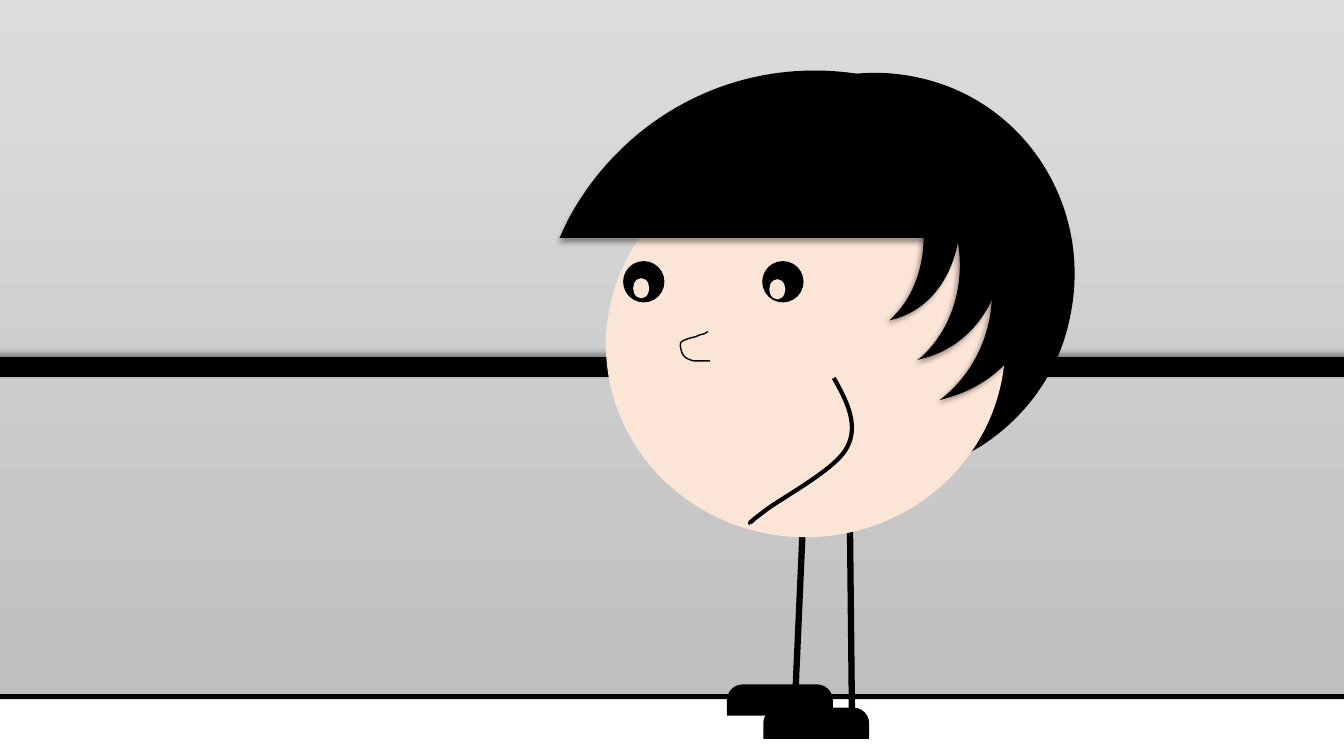
from dataclasses import dataclass
from math import cos, radians, sin

from lxml.etree import SubElement
from pptx import Presentation
from pptx.dml.color import RGBColor
from pptx.enum.shapes import MSO_CONNECTOR as CONN, MSO_SHAPE as SHAPE
from pptx.oxml import parse_xml
from pptx.oxml.ns import nsdecls, qn
from pptx.util import Inches, Pt

COLS, ROWS = 13.33, 7.5


@dataclass(frozen=True)
class Theme:
    ink: str = "000000"
    skin: str = "FBE5D6"
    floor: str = "FFFFFF"
    wall: tuple = ((0, "F6F8FC"), (51, "D9D9D9"), (100, "BFBFBF"))
    hairline: float = 1
    jaw: float = 3
    leg: float = 4.5
    skirting: float = 6
    rail: float = 14


@dataclass(frozen=True)
class Box:
    left: int
    top: int
    width: int
    height: int

    def point(self, col, row):
        return (round(self.left + self.width * col / COLS),
                round(self.top + self.height * row / ROWS))

    def area(self, col, row, cols, rows):
        x, y = self.point(col, row)
        right, bottom = self.point(col + cols, row + rows)
        return x, y, right - x, bottom - y


@dataclass(frozen=True)
class Outline:
    """A frame, its turn, and a start point followed by lines (2 numbers)
    and Bezier curves (6 numbers)."""
    frame: tuple
    pieces: list
    turn: float = 0


THEME = Theme()

BACK_HAIR = Outline((6.75, 0.73, 3.96, 3.53), [
    (9.11, 0.77), (8.04, 0.53, 6.98, 1.22, 6.74, 2.31),
    (6.73, 2.38, 6.72, 2.45, 6.71, 2.51), (6.71, 2.53), (6.75, 2.5),
    (7.15, 2.3, 7.61, 2.22, 8.08, 2.32), (9.01, 2.53, 9.65, 3.37, 9.63, 4.31),
    (9.62, 4.49), (9.74, 4.42), (10.17, 4.14, 10.5, 3.7, 10.61, 3.16),
    (10.85, 2.07, 10.18, 1, 9.11, 0.77)], 12.3)
FRINGE = Outline((5.55, 0.7, 5.06, 1.66), [
    (8.08, 0.7), (9.14, 0.7, 10.06, 1.3, 10.53, 2.19), (10.61, 2.36),
    (5.55, 2.36), (5.63, 2.19), (6.1, 1.3, 7.02, 0.7, 8.08, 0.7)])
LOCKS = [
    Outline((8.56, 1.19, 1.77, 2.69), [
        (8.66, 1.36), (8.53, 1.4, 8.41, 1.46, 8.3, 1.53), (8.24, 1.57),
        (8.28, 1.56), (8.93, 1.44, 9.59, 1.85, 9.78, 2.52),
        (9.94, 3.05, 9.76, 3.6, 9.37, 3.93), (9.32, 3.97), (9.42, 3.94),
        (10.11, 3.74, 10.5, 3, 10.29, 2.28),
        (10.08, 1.57, 9.35, 1.16, 8.66, 1.36)], 343.6),
    Outline((8.41, 0.95, 1.51, 2.55), [
        (8.46, 1.11), (8.35, 1.14, 8.25, 1.19, 8.16, 1.26), (8.11, 1.3),
        (8.14, 1.29), (8.7, 1.19, 9.28, 1.59, 9.46, 2.22),
        (9.61, 2.73, 9.47, 3.24, 9.14, 3.54), (9.1, 3.57), (9.18, 3.55),
        (9.78, 3.38, 10.1, 2.69, 9.9, 2.01),
        (9.7, 1.34, 9.06, 0.93, 8.46, 1.11)], 343.6),
    Outline((8.21, 0.74, 1.28, 2.39), [
        (8.21, 0.87), (8.12, 0.9, 8.03, 0.95, 7.96, 1), (7.92, 1.04),
        (7.94, 1.03), (8.42, 0.96, 8.92, 1.34, 9.1, 1.93),
        (9.24, 2.41, 9.13, 2.88, 8.85, 3.15), (8.82, 3.18), (8.89, 3.16),
        (9.39, 3.01, 9.65, 2.38, 9.46, 1.75),
        (9.28, 1.12, 8.72, 0.72, 8.21, 0.87)], 343.6),
]
JAW = Outline((7.44, 3.75, 1.02, 1.44), [
    (8.27, 3.75), (8.4, 3.98, 8.52, 4.22, 8.4, 4.44),
    (8.29, 4.66, 7.73, 4.95, 7.57, 5.08), (7.41, 5.2, 7.44, 5.19, 7.44, 5.19),
    (7.44, 5.19)])
NOSE = Outline((6.75, 3.29, 0.29, 0.3), [
    (7.02, 3.29), (7.01, 3.29, 7.01, 3.3, 6.99, 3.31),
    (6.96, 3.32, 6.93, 3.32, 6.9, 3.34), (6.86, 3.35, 6.77, 3.37, 6.75, 3.4),
    (6.74, 3.44, 6.76, 3.5, 6.78, 3.53), (6.81, 3.56, 6.84, 3.57, 6.88, 3.58),
    (6.92, 3.58, 6.99, 3.58, 7.04, 3.58)])


def rgb(color):
    return RGBColor.from_string(color)


def style(s, fill=None, width=None):
    s.shadow.inherit = False
    if fill:
        s.fill.solid()
        s.fill.fore_color.rgb = rgb(fill)
    else:
        s.fill.background()
    if width:
        s.line.color.rgb = rgb(THEME.ink)
        s.line.width = Pt(width)
    else:
        s.line.fill.background()
    return s


def add_part(slide, kind, area, fill, width=None):
    return style(slide.shapes.add_shape(kind, *area), fill, width)


def add_line(slide, start, end, width):
    s = slide.shapes.add_connector(CONN.STRAIGHT, *start, *end)
    s.line.color.rgb = rgb(THEME.ink)
    s.line.width = Pt(width)
    s._element.spPr.append(parse_xml(f"<a:effectLst {nsdecls('a')}/>"))
    return s


def cast_shadow(s, angle):
    spPr = s._element.spPr
    for old in spPr.findall(qn("a:effectLst")):
        spPr.remove(old)
    spPr.append(parse_xml(
        f'<a:effectLst {nsdecls("a")}><a:outerShdw blurRad="{Pt(4)}" '
        f'dist="{Pt(3)}" dir="{angle * 60000}" rotWithShape="0">'
        f'<a:srgbClr val="{THEME.ink}"><a:alpha val="40000"/></a:srgbClr>'
        '</a:outerShdw></a:effectLst>'))


def add_outline(slide, box, outline, fill=None, width=None):
    left, top, w, h = box.area(*outline.frame)
    mid_x, mid_y = left + w / 2, top + h / 2
    c, d = cos(radians(outline.turn)), sin(radians(outline.turn))

    def local(col, row):
        """Position inside the frame before it is turned."""
        x, y = box.point(col, row)
        x, y = x - mid_x, y - mid_y
        return round(x * c + y * d + w / 2), round(y * c - x * d + h / 2)

    pieces = [[local(*piece[i:i + 2]) for i in range(0, len(piece), 2)]
              for piece in outline.pieces]
    builder = slide.shapes.build_freeform(*pieces[0][0])
    builder.add_line_segments([p[-1] for p in pieces[1:]], close=fill is not None)
    s = style(builder.convert_to_shape(), fill, width)
    s.left, s.top, s.width, s.height = left, top, w, h
    s.rotation = outline.turn
    # Curved segments, in the frame's own coordinates
    track = next(s._element.iter(qn("a:path")))
    track.set("w", str(w))
    track.set("h", str(h))
    for segment, points in zip(track, pieces):
        if len(points) == 3:
            segment.tag = qn("a:cubicBezTo")
        for old in list(segment):
            segment.remove(old)
        for x, y in points:
            SubElement(segment, qn("a:pt"), x=str(x), y=str(y))
    return s


def draw_room(slide, box):
    # Wall with a downward gradient
    wall = add_part(slide, SHAPE.RECTANGLE, box.area(-0.93, -5.18, 15.17, 12.11),
                    THEME.floor, THEME.skirting)
    stops = "".join(f'<a:gs pos="{pos * 1000}"><a:srgbClr val="{color}"/></a:gs>'
                    for pos, color in THEME.wall)
    spPr = wall._element.spPr
    spPr.replace(spPr.find(qn("a:solidFill")), parse_xml(
        f'<a:gradFill {nsdecls("a")} rotWithShape="1"><a:gsLst>{stops}</a:gsLst>'
        '<a:lin ang="5400000" scaled="0"/></a:gradFill>'))
    # Rail and floor
    rail = add_line(slide, box.point(-0.93, 3.64), box.point(14.24, 3.64), THEME.rail)
    cast_shadow(rail, 270)
    floor = add_part(slide, SHAPE.FLOWCHART_MANUAL_OPERATION,
                     box.area(-5.84, 6.93, 25, 0.98), THEME.floor, THEME.hairline)
    floor._element.spPr.xfrm.set("flipV", "1")


def draw_character(slide, box):
    add_outline(slide, box, BACK_HAIR, THEME.ink)
    # Legs and shoes
    add_line(slide, box.point(8.43, 5.21), box.point(8.45, 7.1), THEME.leg)
    for col, row in ((7.21, 6.79), (7.57, 7.02)):
        shoe = add_part(slide, SHAPE.ROUND_2_SAME_RECTANGLE,
                        box.area(col, row, 1.05, 0.31), THEME.ink)
        shoe.adjustments[0] = 0.5
    add_line(slide, box.point(7.97, 5.05), box.point(7.89, 6.86), THEME.leg)
    # Face
    add_part(slide, SHAPE.OVAL, box.area(6.01, 1.51, 3.96, 3.82), THEME.skin)
    eyes = ((7.56, 7.63, 2.77), (6.18, 6.28, 2.76))
    for eye, glint_col, glint_row in eyes:
        add_part(slide, SHAPE.OVAL, box.area(eye, 2.59, 0.41, 0.41), THEME.ink)
        add_part(slide, SHAPE.OVAL, box.area(glint_col, glint_row, 0.16, 0.2),
                 THEME.skin)
    add_outline(slide, box, JAW, width=THEME.jaw)
    add_outline(slide, box, NOSE, width=THEME.hairline)
    # Front hair
    cast_shadow(add_outline(slide, box, FRINGE, THEME.ink), 90)
    for lock in LOCKS:
        cast_shadow(add_outline(slide, box, lock, THEME.ink), 135)


def main():
    prs = Presentation()
    prs.slide_width, prs.slide_height = Inches(COLS), Inches(ROWS)
    slide = prs.slides.add_slide(prs.slide_layouts[6])
    box = Box(0, 0, prs.slide_width, prs.slide_height)
    draw_room(slide, box)
    draw_character(slide, box)
    prs.save("out.pptx")


if __name__ == "__main__":
    main()
